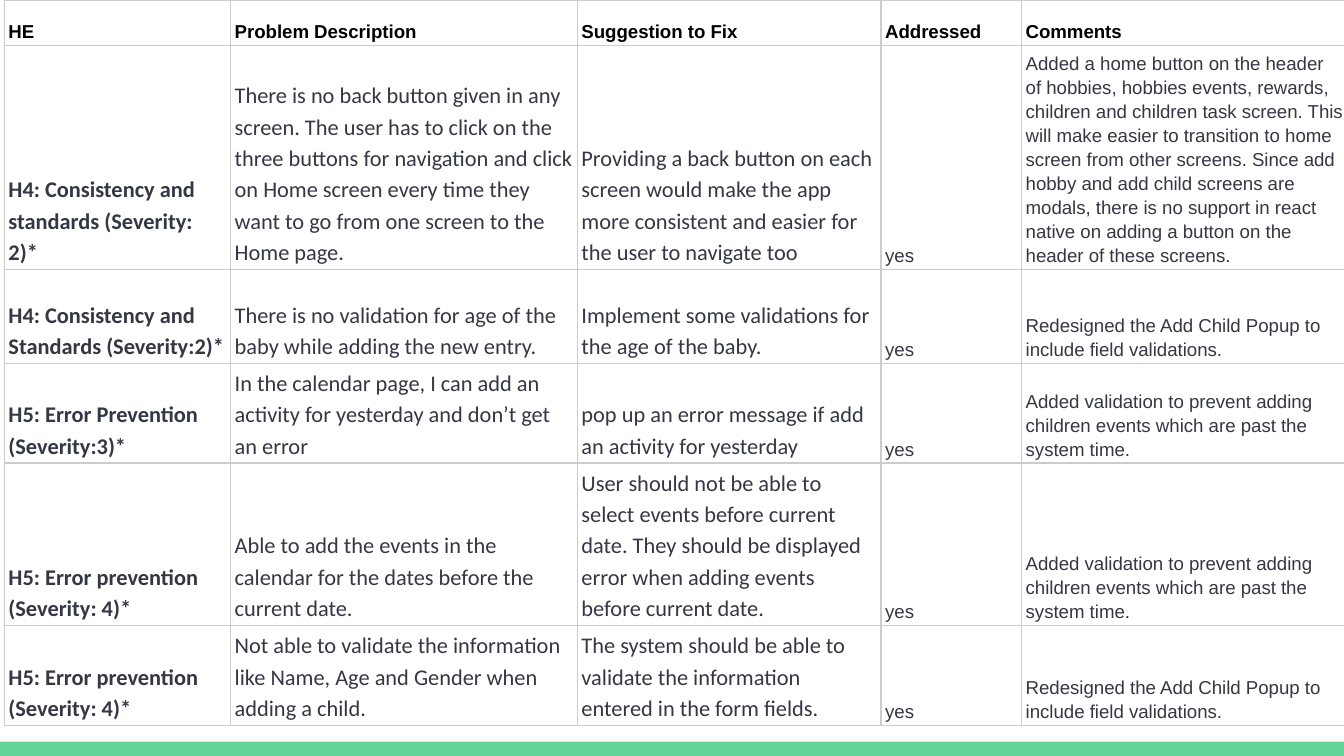
from lxml.etree import SubElement
from pptx import Presentation
from pptx.dml.color import RGBColor as RGB
from pptx.enum.shapes import MSO_SHAPE as SHAPE
from pptx.enum.text import MSO_ANCHOR as ANCHOR
from pptx.oxml.ns import qn
from pptx.util import Pt

COLORS = {"bar": "63D297", "grid": "CCCCCC", "head": "000000", "body": "353744"}

HEADERS = ["HE", "Problem Description", "Suggestion to Fix", "Addressed", "Comments"]
POPUP = "Redesigned the Add Child Popup to include field validations."
PAST = "Added validation to prevent adding children events which are past the system time."
FINDINGS = [
    ["H4: Consistency and standards (Severity: 2)*",
     "There is no back button given in any screen. The user has to click on the three "
     "buttons for navigation and click on Home screen every time they want to go from "
     "one screen to the Home page.",
     "Providing a back button on each screen would make the app more consistent and "
     "easier for the user to navigate too",
     "yes",
     "Added a home button on the header of hobbies, hobbies events, rewards, children "
     "and children task screen. This will make easier to transition to home screen from "
     "other screens. Since add hobby and add child screens are modals, there is no "
     "support in react native on adding a button on the header of these screens."],
    ["H4: Consistency and Standards (Severity:2)*",
     "There is no validation for age of the baby while adding the new entry.",
     "Implement some validations for the age of the baby.",
     "yes", POPUP],
    ["H5: Error Prevention (Severity:3)*",
     "In the calendar page, I can add an activity for yesterday and don’t get an error",
     "pop up an error message if add an activity for yesterday",
     "yes", PAST],
    ["H5: Error prevention (Severity: 4)*",
     "Able to add the events in the calendar for the dates before the current date.",
     "User should not be able to select events before current date. They should be "
     "displayed error when adding events before current date.",
     "yes", PAST],
    ["H5: Error prevention (Severity: 4)*",
     "Not able to validate the information like Name, Age and Gender when adding a child.",
     "The system should be able to validate the information entered in the form fields.",
     "yes", POPUP],
]
COL_WIDTHS = [121.2, 185.8, 162.7, 75.3, 175]
ROW_HEIGHTS = [24.3, 120, 50.4, 24.3, 24.3, 24.3]  # short rows grow with their text


class SlideBuilder:
    def __init__(self, slide):
        self.slide = slide

    def bar(self, x, y, w, h, color):
        sp = self.slide.shapes.add_shape(SHAPE.RECTANGLE, Pt(x), Pt(y), Pt(w), Pt(h))
        sp.shadow.inherit = False
        sp.fill.solid()
        sp.fill.fore_color.rgb = RGB.from_string(COLORS[color])
        sp.line.fill.background()

    def table(self, x, y, widths, heights, rows):
        frame = self.slide.shapes.add_table(len(rows), len(widths), Pt(x), Pt(y),
                                            Pt(sum(widths)), Pt(sum(heights)))
        table = frame.table
        table.first_row = table.horz_banding = False
        for col, w in zip(table.columns, widths):
            col.width = Pt(w)
        for row, h in zip(table.rows, heights):
            row.height = Pt(h)
        for i, texts in enumerate(rows):
            for j, text in enumerate(texts):
                self.cell(table.cell(i, j), text, header=i == 0, col=j)

    def cell(self, cell, text, header, col):
        cell.vertical_anchor = ANCHOR.BOTTOM
        cell.margin_left = cell.margin_right = Pt(2.25)
        cell.margin_top = cell.margin_bottom = Pt(1.5)
        self.borders(cell)
        cell.fill.background()
        cell.text = text
        p = cell.text_frame.paragraphs[0]
        p.line_spacing = 1.15
        large = not header and col < 3
        p.font.name = "Calibri" if large else "Arial"
        p.font.size = Pt(12 if large else 10)
        p.font.bold = header or col == 0
        p.font.color.rgb = RGB.from_string(COLORS["head" if header else "body"])

    def borders(self, cell):
        props = cell._tc.get_or_add_tcPr()
        for side in ("a:lnL", "a:lnR", "a:lnT", "a:lnB"):
            ln = SubElement(props, qn(side), w=str(Pt(0.75)))
            fill = SubElement(ln, qn("a:solidFill"))
            SubElement(fill, qn("a:srgbClr"), val=COLORS["grid"])


def main():
    prs = Presentation()
    prs.slide_width, prs.slide_height = Pt(720), Pt(405)
    s = SlideBuilder(prs.slides.add_slide(prs.slide_layouts[6]))

    # Bottom accent bar
    s.bar(0, 397.3, 720, 7.7, "bar")

    # Heuristic evaluation findings
    s.table(2.3, 0, COL_WIDTHS, ROW_HEIGHTS, [HEADERS] + FINDINGS)

    prs.save("out.pptx")


if __name__ == "__main__":
    main()
